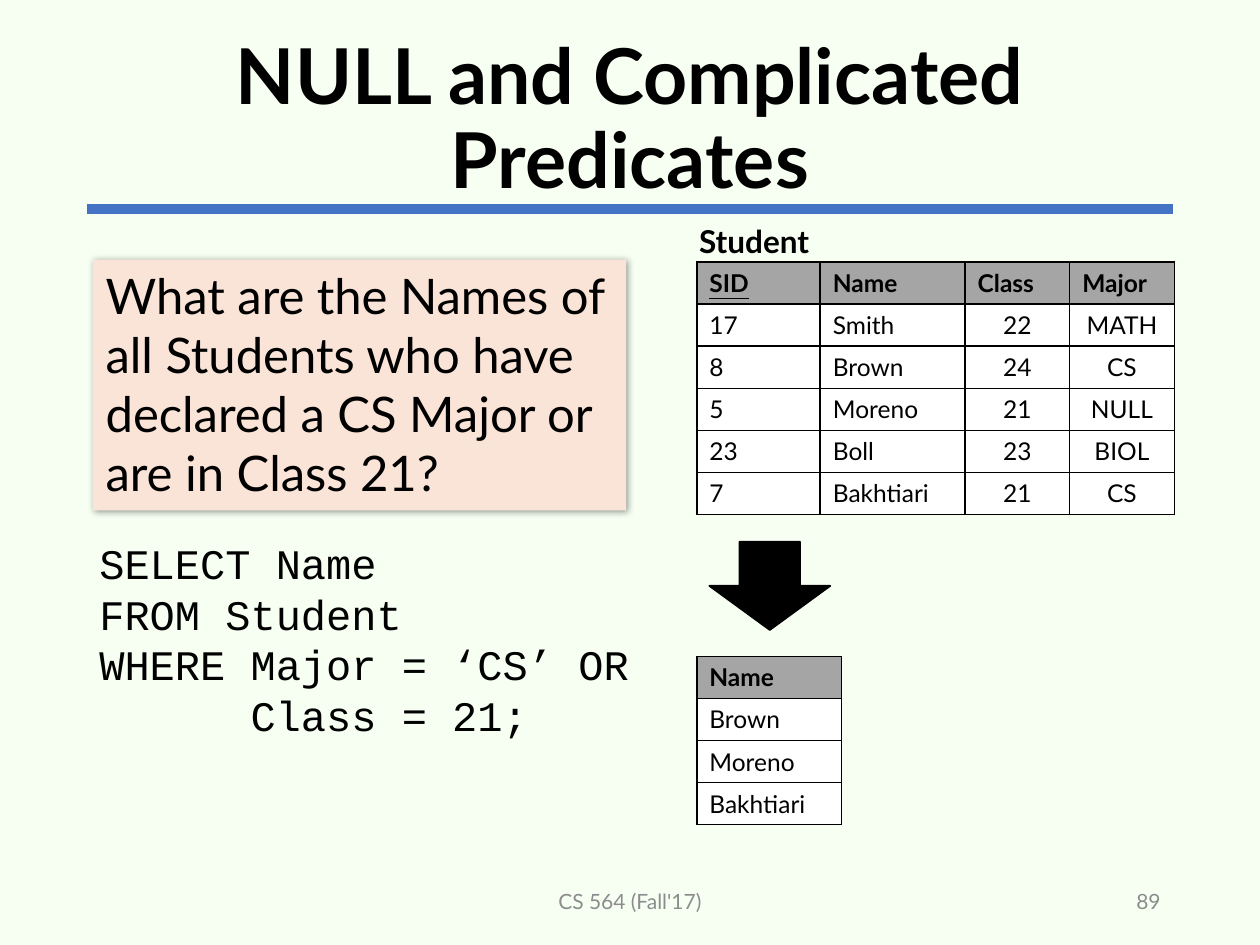
from lxml import etree
from pptx import Presentation
from pptx import util as u
from pptx.dml.color import RGBColor
from pptx.enum import shapes, text
from pptx.oxml import ns

BLACK = RGBColor(0, 0, 0)
WHITE = RGBColor(255, 255, 255)
MINT = RGBColor(0xF7, 0xFF, 0xF3)
BLUE = RGBColor(0x44, 0x72, 0xC4)
PEACH = RGBColor(0xFA, 0xE4, 0xD7)
GRAY = RGBColor(0xA5, 0xA5, 0xA5)
MUTED = RGBColor(0x8C, 0x8C, 0x8C)
LEFT, CENTER, RIGHT = text.PP_ALIGN.LEFT, text.PP_ALIGN.CENTER, text.PP_ALIGN.RIGHT
MIDDLE, TOP = text.MSO_ANCHOR.MIDDLE, text.MSO_ANCHOR.TOP


def sub(parent, tag, **attrs):
    return etree.SubElement(parent, ns.qn(tag), attrs)


def box(*lengths):
    return [u.Inches(v) for v in lengths]


class Deck:
    font = "Lato"
    row_height = 1 / 3

    def __init__(self):
        self.prs = Presentation()
        self.prs.slide_width, self.prs.slide_height = box(10, 7.5)
        self.s = self.prs.slides.add_slide(self.prs.slide_layouts[5])
        fill = self.s.background.fill
        fill.solid()
        fill.fore_color.rgb = MINT

    def fill_text(self, tf, lines, size, align=LEFT, color=BLACK, spacing=None, **fmt):
        fmt = {"name": self.font, "size": u.Pt(size), "bold": False, **fmt}
        for i, line in enumerate(lines):
            p = tf.add_paragraph() if i else tf.paragraphs[0]
            p.alignment = align
            if spacing:
                p.line_spacing = spacing
            r = p.add_run()
            r.text = line
            r.font.color.rgb = color
            for key, value in fmt.items():
                setattr(r.font, key, value)

    def title(self, line, at):
        sp = self.s.shapes.title
        sp.left, sp.top, sp.width, sp.height = box(*at)
        tf = sp.text_frame
        tf.vertical_anchor = MIDDLE
        tf.auto_size = text.MSO_AUTO_SIZE.NONE
        self.fill_text(tf, [line], 44, CENTER, spacing=0.9, bold=True)

    def textbox(self, lines, at, size, anchor=TOP, wrap=True, **fmt):
        tf = self.s.shapes.add_textbox(*box(*at)).text_frame
        tf.word_wrap = wrap
        tf.vertical_anchor = anchor
        self.fill_text(tf, lines, size, **fmt)
        return tf

    def rule(self, start, end, color, width):
        line = self.s.shapes.add_connector(
            shapes.MSO_CONNECTOR.STRAIGHT, *box(*start, *end))
        line.line.color.rgb = color
        line.line.width = u.Pt(width)
        sub(line._element.spPr, "a:effectLst")

    def shape(self, kind, at, fill, outline=None):
        sp = self.s.shapes.add_shape(kind, *box(*at))
        sp.shadow.inherit = False
        sp.fill.solid()
        sp.fill.fore_color.rgb = fill
        if outline is None:
            sp.line.fill.background()
        else:
            sp.line.color.rgb = outline
            sp.line.width = u.Pt(1)
        return sp

    def card(self, line, at, fill, size):
        sp = self.shape(shapes.MSO_SHAPE.RECTANGLE, at, fill)
        effects = sp._element.spPr.find(ns.qn("a:effectLst"))
        shadow = sub(effects, "a:outerShdw", blurRad=str(u.Pt(4)),
                     dist=str(u.Pt(1)), dir="2700000", algn="tl", rotWithShape="0")
        color = sub(shadow, "a:srgbClr", val=str(BLACK))
        sub(color, "a:alpha", val="40000")
        tf = sp.text_frame
        tf.word_wrap = True
        tf.vertical_anchor = TOP
        self.fill_text(tf, [line], size)

    def table(self, rows, left, top, widths, centered=(), key=None):
        height = self.row_height * len(rows)
        frame = self.s.shapes.add_table(
            len(rows), len(widths), *box(left, top, sum(widths), height))
        tbl = frame.table
        for col, width in zip(tbl.columns, widths):
            col.width = u.Inches(width)
        for i, row in enumerate(rows):
            tbl.rows[i].height = u.Inches(self.row_height)
            for j, value in enumerate(row):
                cell = tbl.cell(i, j)
                header = i == 0
                self.borders(cell)
                cell.fill.solid()
                cell.fill.fore_color.rgb = GRAY if header else WHITE
                align = CENTER if j in centered and not header else LEFT
                self.fill_text(cell.text_frame, [value], 14, align,
                               bold=header, underline=header and j == key)

    def borders(self, cell):
        tcPr = cell._tc.get_or_add_tcPr()
        for side in ("a:lnL", "a:lnR", "a:lnT", "a:lnB"):
            ln = sub(tcPr, side, w=str(u.Pt(1)))
            sub(sub(ln, "a:solidFill"), "a:srgbClr", val=str(BLACK))


def main():
    deck = Deck()
    deck.rule((0.69, 1.66), (9.31, 1.66), BLUE, 6)
    deck.title("NULL and Complicated Predicates", (0.69, 0.24, 8.62, 1.45))
    footer = {"size": 12, "anchor": MIDDLE, "color": MUTED}
    deck.textbox(["CS 564 (Fall'17)"], (3.31, 6.95, 3.38, 0.4), align=CENTER, **footer)
    deck.textbox(["89"], (7.06, 6.95, 2.25, 0.4), align=RIGHT, **footer)

    students = [
        ("SID", "Name", "Class", "Major"),
        ("17", "Smith", "22", "MATH"),
        ("8", "Brown", "24", "CS"),
        ("5", "Moreno", "21", "NULL"),
        ("23", "Boll", "23", "BIOL"),
        ("7", "Bakhtiari", "21", "CS"),
    ]
    deck.table(students, 5.53, 2.08, (0.98, 1.15, 0.83, 0.83), centered=(2, 3), key=0)
    deck.textbox(["Student"], (5.45, 1.71, 1.08, 0.4), 18, wrap=False, bold=True)
    deck.shape(shapes.MSO_SHAPE.DOWN_ARROW, (5.63, 4.3, 0.96, 0.7), BLACK, BLACK)

    query = ["SELECT Name", "FROM Student", "WHERE Major = ‘CS’ OR", "Class = 21;"]
    tf = deck.textbox(query, (0.69, 4.22, 4.47, 1.79), 24,
                      name="Courier New", spacing=u.Pt(28.8))
    tf.paragraphs[-1]._p.get_or_add_pPr().set("marL", str(u.Inches(1.2)))

    deck.card("What are the Names of all Students who have declared a CS Major "
              "or are in Class 21?", (0.74, 2.06, 4.23, 1.99), PEACH, 28)
    result = [("Name",), ("Brown",), ("Moreno",), ("Bakhtiari",)]
    deck.table(result, 5.53, 5.21, (1.15,))
    deck.prs.save("out.pptx")


if __name__ == "__main__":
    main()
